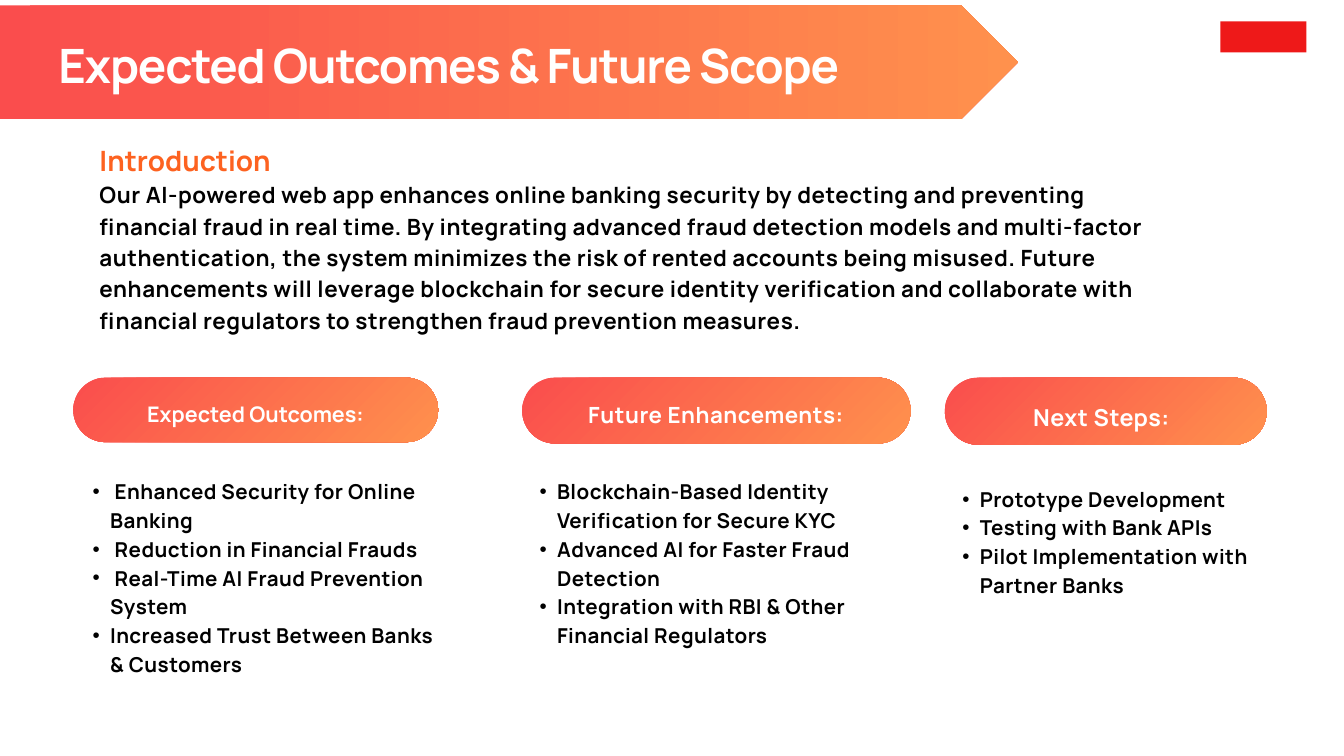
from dataclasses import dataclass

from lxml.etree import SubElement
from pptx import Presentation
from pptx.dml.color import RGBColor
from pptx.enum.shapes import MSO_SHAPE
from pptx.enum.text import MSO_ANCHOR, PP_ALIGN
from pptx.oxml.ns import qn
from pptx.shapes.autoshape import Shape
from pptx.slide import Slide
from pptx.text.text import _Paragraph as Paragraph
from pptx.util import Inches, Pt

COLUMNS, ROWS = 20, 11.25
SLIDE_WIDTH, SLIDE_HEIGHT = Inches(20), Inches(11.25)
COLUMN, ROW = SLIDE_WIDTH / COLUMNS, SLIDE_HEIGHT / ROWS


@dataclass(frozen=True)
class TextStyle:
    size: float
    line: float
    color: str
    spacing: float = 0


@dataclass(frozen=True)
class Theme:
    font: str = "Manrope"
    gradient: tuple[str, str] = ("FA4D4D", "FF914D")
    corner: str = "EE1919"
    title: TextStyle = TextStyle(50.7, 71, "FFFFFE", -1.3)
    heading: TextStyle = TextStyle(30, 42, "FD6220")
    body: TextStyle = TextStyle(24, 33.6, "000000", 0.6)
    bullet: TextStyle = TextStyle(22, 30.8, "000000", 0.5)
    outcomes: TextStyle = TextStyle(23, 32.2, "FFFFFF")
    enhancements: TextStyle = TextStyle(23.9, 33.5, "FFFFFF", 0.6)
    steps: TextStyle = TextStyle(25, 35, "FFFFFF", 0.6)


@dataclass(frozen=True)
class Box:
    column: float
    row: float
    columns: float
    rows: float

    def emu(self) -> tuple[int, int, int, int]:
        return (round(self.column * COLUMN), round(self.row * ROW),
                round(self.columns * COLUMN), round(self.rows * ROW))


@dataclass(frozen=True)
class Topic:
    title: str
    style: TextStyle
    pill: Box
    label: Box
    body: Box
    points: tuple[str, ...]


THEME = Theme()
PILL_ROW = 5.62

TOPICS = (
    Topic("Expected Outcomes:", THEME.outcomes,
          Box(1.09, PILL_ROW, 5.43, 0.96), Box(1.89, 5.91, 3.83, 0.41),
          Box(1.12, 7.07, 5.56, 3.42),
          (" Enhanced Security for Online Banking",
           " Reduction in Financial Frauds",
           " Real-Time AI Fraud Prevention System",
           "Increased Trust Between Banks & Customers")),
    Topic("Future Enhancements:", THEME.enhancements,
          Box(7.77, PILL_ROW, 5.78, 0.98), Box(8.62, 5.9, 4.07, 0.45),
          Box(7.77, 7.07, 5.97, 2.99),
          ("Blockchain-Based Identity Verification for Secure KYC",
           "Advanced AI for Faster Fraud Detection",
           "Integration with RBI & Other Financial Regulators")),
    Topic("Next Steps:", THEME.steps,
          Box(14.06, PILL_ROW, 4.79, 1), Box(14.42, 5.93, 3.94, 0.46),
          Box(14.06, 7.18, 4.81, 2.14),
          ("Prototype Development",
           "Testing with Bank APIs",
           "Pilot Implementation with Partner Banks")),
)

INTRODUCTION = (
    "Our AI-powered web app enhances online banking security by detecting and "
    "preventing financial fraud in real time. By integrating advanced fraud "
    "detection models and multi-factor authentication, the system minimizes the "
    "risk of rented accounts being misused. Future enhancements will leverage "
    "blockchain for secure identity verification and collaborate with financial "
    "regulators to strengthen fraud prevention measures."
)


def add_block(slide: Slide, kind: MSO_SHAPE, box: Box) -> Shape:
    shape = slide.shapes.add_shape(kind, *box.emu())
    shape.shadow.inherit = False
    shape.line.fill.background()
    return shape


def fill_gradient(shape: Shape, angle: float) -> None:
    shape.fill.gradient()
    shape.fill.gradient_angle = angle
    for stop, color in zip(shape.fill.gradient_stops, THEME.gradient):
        stop.color.rgb = RGBColor.from_string(color)


def add_text_box(slide: Slide, box: Box) -> Shape:
    shape = slide.shapes.add_textbox(*box.emu())
    frame = shape.text_frame
    frame.word_wrap = True
    frame.vertical_anchor = MSO_ANCHOR.TOP
    frame.margin_left = frame.margin_right = 0
    frame.margin_top = frame.margin_bottom = 0
    return shape


def next_paragraph(shape: Shape, style: TextStyle,
                   alignment: PP_ALIGN = PP_ALIGN.LEFT) -> Paragraph:
    frame = shape.text_frame
    first = frame.paragraphs[0]
    paragraph = frame.add_paragraph() if first.runs else first
    paragraph.alignment = alignment
    paragraph.line_spacing = Pt(style.line)
    return paragraph


def add_run(paragraph: Paragraph, text: str, style: TextStyle) -> None:
    run = paragraph.add_run()
    run.text = text
    run.font.name = THEME.font
    run.font.size = Pt(style.size)
    run.font.bold = True
    run.font.color.rgb = RGBColor.from_string(style.color)
    if style.spacing:
        run._r.get_or_add_rPr().set("spc", str(round(style.spacing * 100)))


def add_bullet(paragraph: Paragraph) -> None:
    properties = paragraph._p.get_or_add_pPr()
    properties.set("marL", str(Inches(0.52)))
    properties.set("indent", str(-Inches(0.26)))
    SubElement(properties, qn("a:buFont")).set("typeface", "Arial")
    SubElement(properties, qn("a:buChar")).set("char", "•")


def draw_topic(slide: Slide, topic: Topic) -> None:
    pill = add_block(slide, MSO_SHAPE.ROUNDED_RECTANGLE, topic.pill)
    pill.adjustments[0] = 0.5
    fill_gradient(pill, 315)
    label = add_text_box(slide, topic.label)
    add_run(next_paragraph(label, topic.style, PP_ALIGN.CENTER), topic.title, topic.style)
    body = add_text_box(slide, topic.body)
    for point in topic.points:
        paragraph = next_paragraph(body, THEME.bullet)
        add_bullet(paragraph)
        add_run(paragraph, point, THEME.bullet)


def draw_corner_block(slide: Slide) -> None:
    block = add_block(slide, MSO_SHAPE.RECTANGLE, Box(18.16, 0.32, 1.28, 0.46))
    block.fill.solid()
    block.fill.fore_color.rgb = RGBColor.from_string(THEME.corner)


def draw_banner(slide: Slide) -> None:
    banner = add_block(slide, MSO_SHAPE.PENTAGON, Box(0, 0.08, 15.15, 1.69))
    banner.adjustments[0] = 0.5
    fill_gradient(banner, 0)
    title = add_text_box(slide, Box(0.87, 0.4, 12.68, 0.94))
    add_run(next_paragraph(title, THEME.title), "Expected Outcomes & Future Scope", THEME.title)


def draw_introduction(slide: Slide) -> None:
    introduction = add_text_box(slide, Box(1.48, 2.05, 16.12, 2.85))
    for text, style in (("Introduction", THEME.heading), (INTRODUCTION, THEME.body)):
        add_run(next_paragraph(introduction, style), text, style)


def main() -> None:
    presentation = Presentation()
    presentation.slide_width, presentation.slide_height = SLIDE_WIDTH, SLIDE_HEIGHT
    slide = presentation.slides.add_slide(presentation.slide_layouts[6])
    for topic in TOPICS:
        draw_topic(slide, topic)
    draw_corner_block(slide)
    draw_banner(slide)
    draw_introduction(slide)
    presentation.save("out.pptx")


if __name__ == "__main__":
    main()
